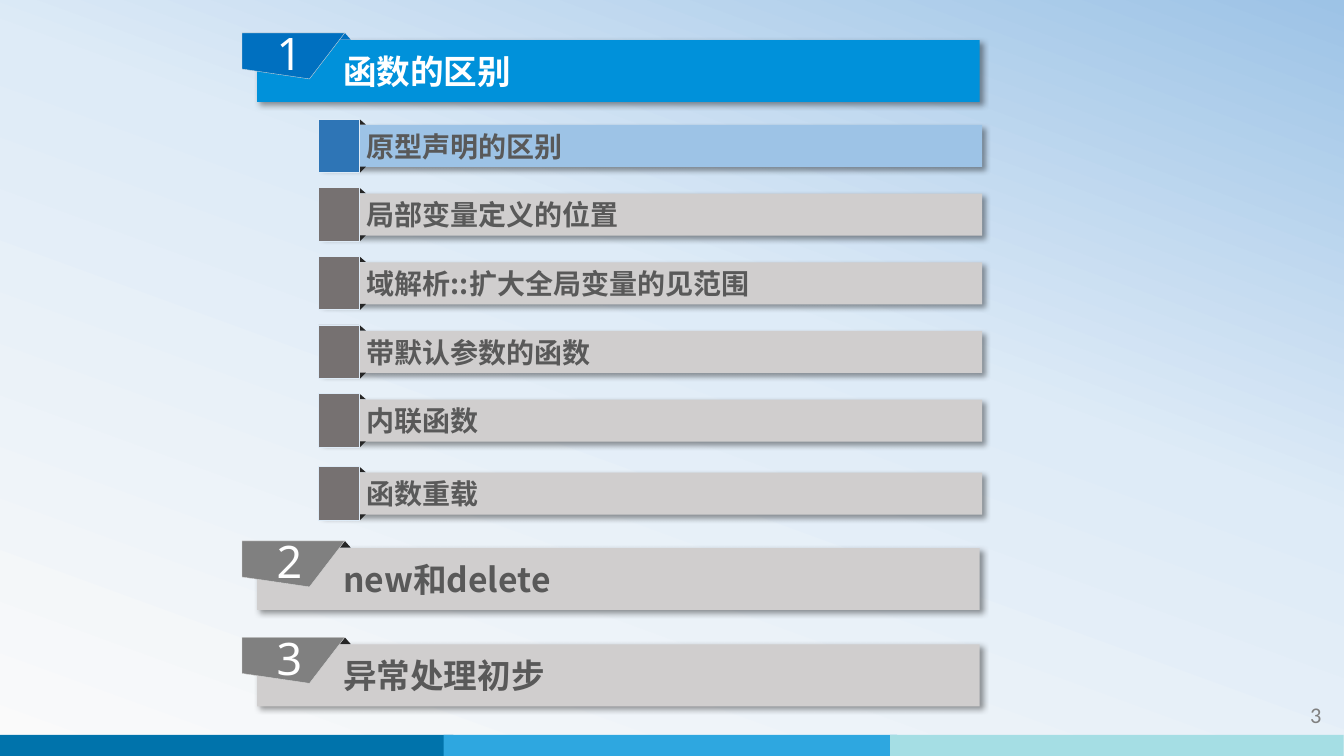
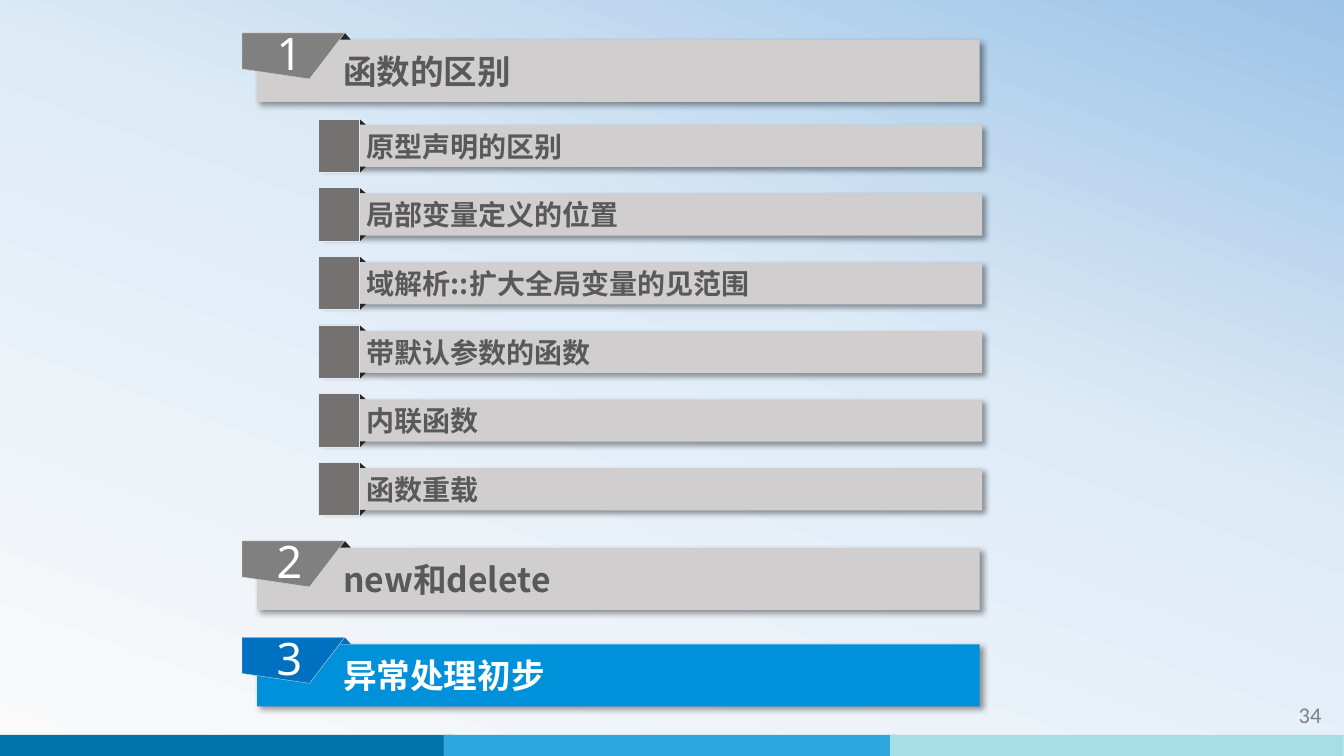
from dataclasses import dataclass

from lxml import etree
from pptx import Presentation
from pptx.dml.color import RGBColor
from pptx.enum import shapes, text
from pptx.oxml.ns import qn
from pptx.util import Cm, Pt


@dataclass(frozen=True)
class Theme:
    # Colours
    sky: tuple = ((0, "FAFAFA"), (58, "DEEBF7"), (100, "9DC3E6"))
    bands: tuple = ("0073AB", "2EA7E0", "A5DEE4")
    bar: str = "D0CECE"
    ink: str = "595959"
    fold: str = "262626"
    tab: str = "808080"
    block: str = "767171"
    white: str = "FFFFFF"
    live: str = "0091DA"
    live_tab: str = "0070C0"
    live_item: str = "9DC3E6"
    live_block: str = "2E75B6"
    tab_line: str = "D9D9D9"
    block_line: str = "DEEBF7"
    # Fonts and sizes
    head: str = "Noto Sans CJK SC"
    digit: str = "Noto Sans"
    foot: str = "Calibri"
    big: int = 32
    mid: int = 24
    small: int = 20
    tiny: int = 16


T = Theme()
RECT = shapes.MSO_SHAPE.RECTANGLE
TRI = shapes.MSO_SHAPE.ISOSCELES_TRIANGLE

PARTS = ("函数的区别", "new和delete", "异常处理初步")
TOPS = (0.83, 13.63, 16.06)
ITEMS = ("原型声明的区别", "局部变量定义的位置", "域解析::扩大全局变量的见范围",
         "带默认参数的函数", "内联函数", "函数重载")
FIRST, PITCH = 3.0, 1.73


# Basic elements
def paint(shape, fill, line=None):
    shape.shadow.inherit = False
    shape.fill.solid()
    shape.fill.fore_color.rgb = RGBColor.from_string(fill)
    if line:
        shape.line.color.rgb = RGBColor.from_string(line)
        shape.line.width = Pt(0.25)
    else:
        shape.line.fill.background()


def add_box(host, kind, area, fill, line=None):
    box = host.add_shape(kind, *map(Cm, area))
    paint(box, fill, line)
    return box


def add_text(shape, words, face, size, color, align, bold=False):
    par = shape.text_frame.paragraphs[0]
    par.text = words
    par.alignment = align
    font = par.font
    font.name, font.size, font.bold = face, Pt(size), bold
    font.color.rgb = RGBColor.from_string(color)
    for props in shape.element.iter(qn("a:defRPr")):
        etree.SubElement(props, qn("a:ea"), typeface=face)


def add_shade(shape):
    effect = shape.element.spPr.find(qn("a:effectLst"))
    shade = etree.SubElement(effect, qn("a:outerShdw"), blurRad=str(Pt(4)),
                             dist=str(Pt(3)), dir="2700000", algn="tl", rotWithShape="0")
    color = etree.SubElement(shade, qn("a:srgbClr"), val="000000")
    etree.SubElement(color, qn("a:alpha"), val="40000")


def add_bar(host, area, fill, words, size, color, inset):
    bar = add_box(host, RECT, area, fill)
    add_shade(bar)
    bar.text_frame.margin_left = Cm(inset)
    bar.text_frame.vertical_anchor = text.MSO_ANCHOR.MIDDLE
    add_text(bar, words, T.head, size, color, text.PP_ALIGN.LEFT, True)


# Agenda entries
def add_part(slide, num, words, top, live):
    host = slide.shapes.add_group_shape().shapes
    left = 6.1
    fill, ink, fold, tone = ((T.live, T.white, T.live_tab, T.live_tab) if live
                             else (T.bar, T.ink, T.fold, T.tab))
    add_bar(host, (left + 0.38, top + 0.18, 18.21, 1.56), fill, words, T.mid, ink, 2.17)
    add_box(host, TRI, (left + 2.44, top, 0.3, 0.17), fold)

    path = host.build_freeform(Cm(left), Cm(top))
    path.add_line_segments([(Cm(left + x), Cm(top + y))
                            for x, y in ((2.59, 0), (1.7, 1.16), (0, 0.91))])
    tab = path.convert_to_shape()
    paint(tab, tone, T.tab_line)
    frame = tab.text_frame
    frame.margin_left, frame.margin_top = Cm(0.23), Cm(0.1)
    frame.margin_right, frame.margin_bottom = Cm(0.43), Cm(0.25)
    frame.vertical_anchor = text.MSO_ANCHOR.MIDDLE
    add_text(tab, str(num), T.digit, T.big, T.white, text.PP_ALIGN.CENTER)


def add_item(slide, words, top, live):
    host = slide.shapes.add_group_shape().shapes
    fill, tone = (T.live_item, T.live_block) if live else (T.bar, T.block)
    add_bar(host, (8.06, top + 0.15, 16.69, 1.06), fill, words, T.small, T.ink, 1.18)
    add_box(host, TRI, (8.92, top + 0.01, 0.3, 0.13), T.fold)
    add_box(host, TRI, (8.92, top + 1.2, 0.3, 0.15), T.fold).rotation = 180
    add_box(host, RECT, (8.03, top, 1.02, 1.34), tone, T.block_line)


def add_page(slide, num):
    box = slide.shapes.add_textbox(*map(Cm, (29.51, 17.55, 4.04, 1.02)))
    box.text_frame.word_wrap = True
    add_text(box, str(num), T.foot, T.tiny, T.tab, text.PP_ALIGN.RIGHT)


# Shared background and bottom bands
def set_master(master, slide):
    fill = master.background.fill
    fill.gradient()
    fill.gradient_angle = 70
    stops = next(master.element.iter(qn("a:gsLst")))
    for stop in list(stops):
        stops.remove(stop)
    for pos, color in T.sky:
        stop = etree.SubElement(stops, qn("a:gs"), pos=str(pos * 1000))
        etree.SubElement(stop, qn("a:srgbClr"), val=color)
    for left, color in zip((0, 11.18, 22.43), T.bands):
        band = add_box(slide.shapes, RECT, (left, 18.52, 11.43, 0.53), color)
        master.shapes.element.append(band.element)


def add_agenda(slide, page, part, item=None, drop=0):
    for i, (words, top) in enumerate(zip(PARTS, TOPS), 1):
        add_part(slide, i, words, top, i == part)
    for i, words in enumerate(ITEMS, 1):
        top = FIRST + (i - 1) * PITCH + (drop if i == len(ITEMS) else 0)
        add_item(slide, words, top, i == item)
    add_page(slide, page)


def main():
    deck = Presentation()
    deck.slide_width, deck.slide_height = Cm(33.87), Cm(19.05)
    blank = deck.slide_layouts[6]
    start, last = (deck.slides.add_slide(blank) for _ in range(2))
    set_master(deck.slide_master, start)
    add_agenda(start, 3, part=1, item=1, drop=0.11)
    add_agenda(last, 34, part=3)
    deck.save("out.pptx")


if __name__ == "__main__":
    main()
